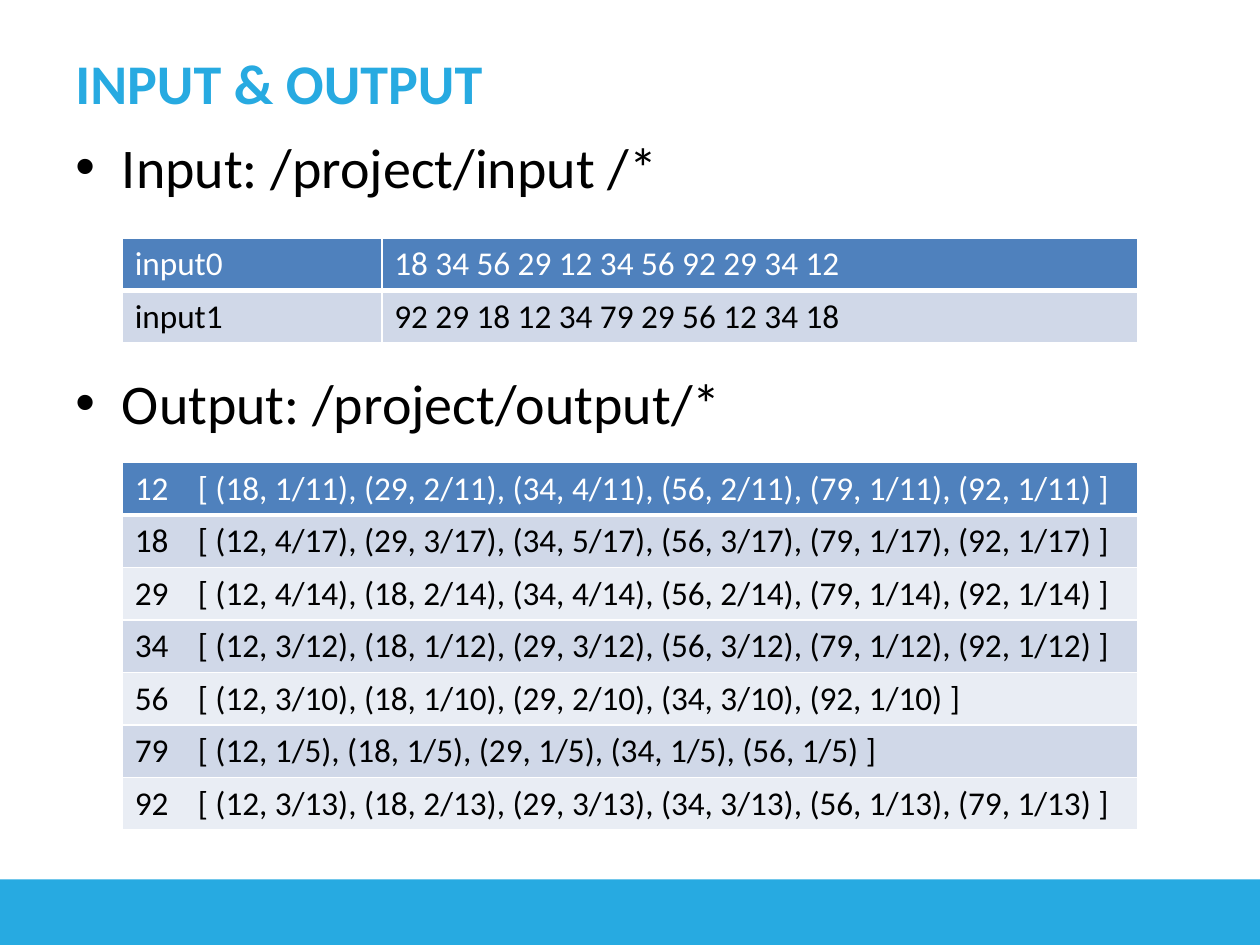
from dataclasses import dataclass

from lxml import etree
from pptx import Presentation, util as u
from pptx.dml.color import RGBColor
from pptx.enum import shapes, text
from pptx.oxml.ns import qn

Inches, Pt = u.Inches, u.Pt


@dataclass(frozen=True)
class Theme:
    font: str = "Calibri"
    accent: RGBColor = RGBColor(0x27, 0xAA, 0xE1)
    black: RGBColor = RGBColor(0, 0, 0)
    white: RGBColor = RGBColor(255, 255, 255)
    header: RGBColor = RGBColor(0x4F, 0x81, 0xBD)
    bands: tuple = (RGBColor(0xD0, 0xD8, 0xE8), RGBColor(0xE9, 0xED, 0xF4))
    large: int = 32
    small: int = 19


THEME = Theme()
ROW_HEIGHT = 0.417


def add_run(paragraph, words, size, color, bold=False):
    run = paragraph.add_run()
    run.text = words
    run.font.name = THEME.font
    run.font.size = Pt(size)
    run.font.color.rgb = color
    run.font.bold = bold


def add_banded_table(slide, top, widths, rows):
    """Add a table with a dark first row, striped rows and white rules."""
    table = slide.shapes.add_table(
        len(rows), len(widths), Inches(0.97), Inches(top),
        Inches(sum(widths)), Inches(ROW_HEIGHT * len(rows))).table
    for column, width in zip(table.columns, widths):
        column.width = Inches(width)
    for row_index, values in enumerate(rows):
        table.rows[row_index].height = Inches(ROW_HEIGHT)
        is_header = row_index == 0
        for column_index, value in enumerate(values):
            cell = table.cell(row_index, column_index)
            properties = cell._tc.get_or_add_tcPr()
            thick_side = {0: "lnB", 1: "lnT"}.get(row_index)
            for side in ("lnL", "lnR", "lnT", "lnB"):
                weight = 3 if side == thick_side else 1
                line = etree.SubElement(properties, qn(f"a:{side}"), w=str(Pt(weight)))
                fill = etree.SubElement(line, qn("a:solidFill"))
                etree.SubElement(fill, qn("a:srgbClr"), val=str(THEME.white))
            cell.fill.solid()
            cell.fill.fore_color.rgb = (
                THEME.header if is_header else THEME.bands[(row_index - 1) % 2])
            paragraph = cell.text_frame.paragraphs[0]
            tabs = etree.SubElement(paragraph._p.get_or_add_pPr(), qn("a:tabLst"))
            etree.SubElement(tabs, qn("a:tab"), pos=str(Inches(0.5)), algn="l")
            add_run(paragraph, value, THEME.small,
                    THEME.white if is_header else THEME.black)


presentation = Presentation()
presentation.slide_width = Inches(10)
presentation.slide_height = Inches(7.5)
slide = presentation.slides.add_slide(presentation.slide_layouts[6])

footer = slide.shapes.add_shape(
    shapes.MSO_SHAPE.RECTANGLE, Inches(-0.03), Inches(6.98), Inches(10.09), Inches(0.65))
footer.shadow.inherit = False
footer.fill.solid()
footer.fill.fore_color.rgb = THEME.accent
footer.line.fill.background()

title = slide.shapes.add_textbox(Inches(0.5), Inches(0.3), Inches(6.85), Inches(0.7))
title.text_frame.word_wrap = True
title.text_frame.vertical_anchor = text.MSO_ANCHOR.MIDDLE
add_run(title.text_frame.paragraphs[0], "INPUT & OUTPUT", THEME.large, THEME.accent, bold=True)

body = slide.shapes.add_textbox(Inches(0.5), Inches(0.97), Inches(9), Inches(4.95))
frame = body.text_frame
frame.word_wrap = True
frame.margin_top = Inches(0.08)
headings = [("Input: /project/input /*", 0), ("Output: /project/output/*", 96.4)]
for index, (words, space_before) in enumerate(headings):
    paragraph = frame.add_paragraph() if index else frame.paragraphs[0]
    paragraph.space_before = Pt(space_before)
    properties = paragraph._p.get_or_add_pPr()
    properties.set("marL", str(Inches(0.37)))
    properties.set("indent", str(Inches(-0.37)))
    etree.SubElement(properties, qn("a:buFont"), typeface="Arial")
    etree.SubElement(properties, qn("a:buChar"), char="•")
    add_run(paragraph, words, THEME.large, THEME.black)

add_banded_table(slide, 1.89, [2.06, 6], [
    ("input0", "18 34 56 29 12 34 56 92 29 34 12"),
    ("input1", "92 29 18 12 34 79 29 56 12 34 18"),
])

neighbours = {
    12: "(18, 1/11), (29, 2/11), (34, 4/11), (56, 2/11), (79, 1/11), (92, 1/11)",
    18: "(12, 4/17), (29, 3/17), (34, 5/17), (56, 3/17), (79, 1/17), (92, 1/17)",
    29: "(12, 4/14), (18, 2/14), (34, 4/14), (56, 2/14), (79, 1/14), (92, 1/14)",
    34: "(12, 3/12), (18, 1/12), (29, 3/12), (56, 3/12), (79, 1/12), (92, 1/12)",
    56: "(12, 3/10), (18, 1/10), (29, 2/10), (34, 3/10), (92, 1/10)",
    79: "(12, 1/5), (18, 1/5), (29, 1/5), (34, 1/5), (56, 1/5)",
    92: "(12, 3/13), (18, 2/13), (29, 3/13), (34, 3/13), (56, 1/13), (79, 1/13)",
}
add_banded_table(slide, 3.67, [8.06],
                 [(f"{key}\t[ {pairs} ]",) for key, pairs in neighbours.items()])

presentation.save("out.pptx")
